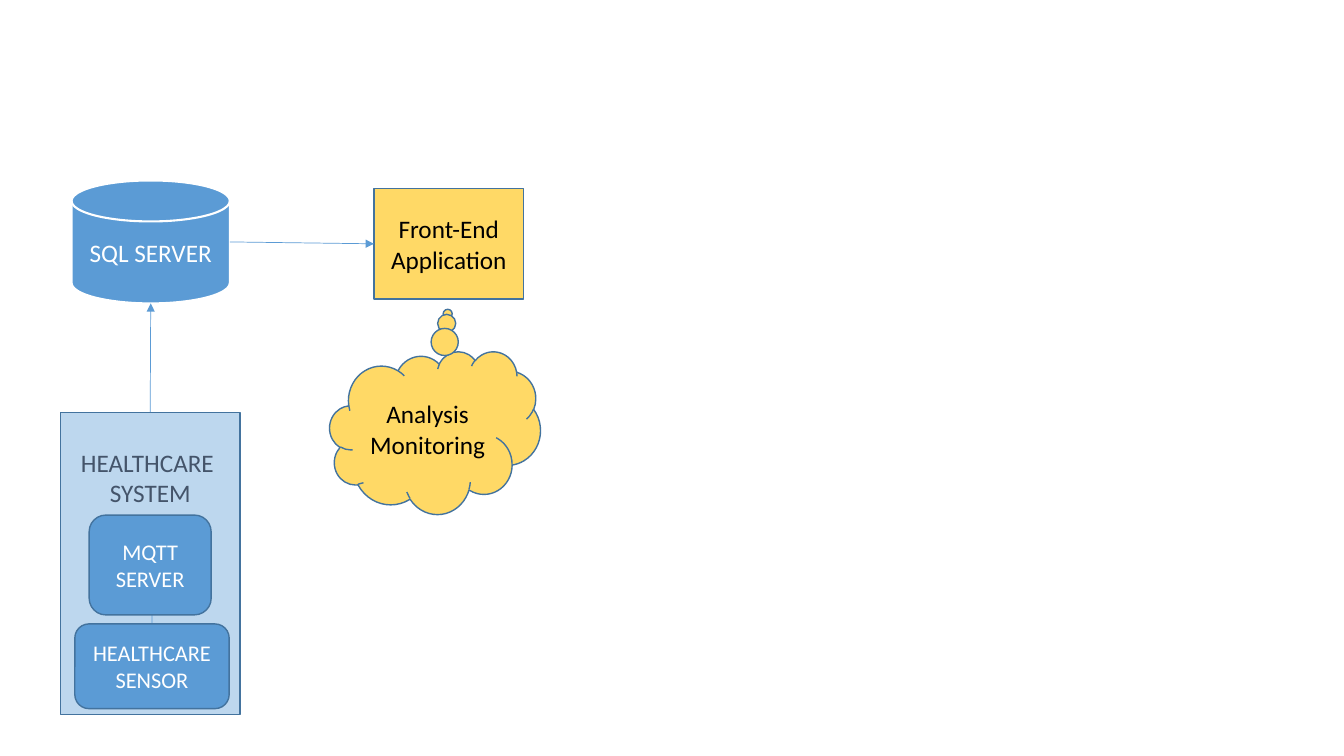
from dataclasses import dataclass
from pptx import Presentation, util as u
from pptx.dml.color import RGBColor
from pptx.enum import shapes, text
from pptx.oxml import parse_xml
from pptx.oxml.ns import nsdecls, qn

KIND = shapes.MSO_SHAPE
CELL = u.Inches(0.1)


@dataclass(frozen=True)
class Theme:
    font: str = "Calibri"
    blue: str = "5B9BD5"
    pale: str = "BDD7EE"
    gold: str = "FFD966"
    edge: str = "43739E"
    slate: str = "44546A"
    white: str = "FFFFFF"
    black: str = "000000"
    large: int = 18
    small: int = 16


LOOK = Theme()


@dataclass(frozen=True)
class Box:
    x: float
    y: float
    w: float
    h: float

    def inner(self, x, y, w, h):
        return Box(self.x + x * self.w, self.y + y * self.h, w * self.w, h * self.h)

    def spot(self, across, down):
        return self.x + across * self.w, self.y + down * self.h


def cells(*counts):
    return [round(n * CELL) for n in counts]


def tint(name):
    return RGBColor.from_string(name)


def block(slide, kind, box, lines, fill, ink, size=LOOK.large, edge=LOOK.edge, width=1):
    shape = slide.shapes.add_shape(kind, *cells(box.x, box.y, box.w, box.h))
    shape.shadow.inherit = False
    shape.fill.solid()
    shape.fill.fore_color.rgb = tint(fill)
    shape.line.color.rgb = tint(edge)
    shape.line.width = u.Pt(width)
    frame = shape.text_frame
    frame.word_wrap = True
    frame.vertical_anchor = text.MSO_ANCHOR.MIDDLE
    frame.text = "\n".join(lines)
    for para in frame.paragraphs:
        para.alignment = text.PP_ALIGN.CENTER
        para.font.name = LOOK.font
        para.font.size = u.Pt(size)
        para.font.color.rgb = tint(ink)
    return shape


def arrow(slide, start, end):
    line = slide.shapes.add_connector(shapes.MSO_CONNECTOR.STRAIGHT, *cells(*start, *end))
    line.line.color.rgb = tint(LOOK.blue)
    line.line.width = u.Pt(0.5)
    props = line._element.spPr
    props.find(qn("a:ln")).append(parse_xml(f'<a:tailEnd {nsdecls("a")} type="triangle"/>'))
    props.append(parse_xml(f'<a:effectLst {nsdecls("a")}/>'))


def store(slide, box):
    block(slide, KIND.FLOWCHART_MAGNETIC_DISK, box, ["SQL SERVER"],
          LOOK.blue, LOOK.white, edge=LOOK.white, width=1.5)


def health(slide, box):
    panel = block(slide, KIND.RECTANGLE, box, ["HEALTHCARE ", "SYSTEM"], LOOK.pale, LOOK.slate)
    panel.text_frame.vertical_anchor = text.MSO_ANCHOR.TOP
    panel.text_frame.margin_top = u.Inches(0.35)
    broker = box.inner(0.16, 0.34, 0.68, 0.33)
    sensor = box.inner(0.08, 0.7, 0.86, 0.28)
    arrow(slide, sensor.spot(0.5, 0), broker.spot(0.51, 0.1))
    for place, lines in ((broker, ["MQTT", "SERVER"]), (sensor, ["HEALTHCARE SENSOR"])):
        block(slide, KIND.ROUNDED_RECTANGLE, place, lines, LOOK.blue, LOOK.white, LOOK.small)


def client(slide, box):
    cloud = block(slide, KIND.CLOUD_CALLOUT, box.inner(0, 0.5, 1, 0.5),
                  ["Analysis", "Monitoring"], LOOK.gold, LOOK.black)
    cloud.adjustments[0] = 0.06
    cloud.adjustments[1] = -0.73
    front = box.inner(0.21, 0, 0.71, 0.34)
    block(slide, KIND.RECTANGLE, front, ["Front-End", "Application"], LOOK.gold, LOOK.black)
    return front


def main():
    deck = Presentation()
    deck.slide_width, deck.slide_height = u.Inches(13.33), u.Inches(7.5)
    slide = deck.slides.add_slide(deck.slide_layouts[6])
    disk = Box(7.1, 17.9, 15.7, 12.2)
    system = Box(6, 40.9, 17.8, 30)
    store(slide, disk)
    health(slide, system)
    arrow(slide, system.spot(0.5, 0), disk.spot(0.5, 1))
    front = client(slide, Box(32.7, 18.7, 20.9, 32.3))
    arrow(slide, disk.spot(1, 0.5), front.spot(0, 0.5))
    deck.save("out.pptx")


if __name__ == "__main__":
    main()
